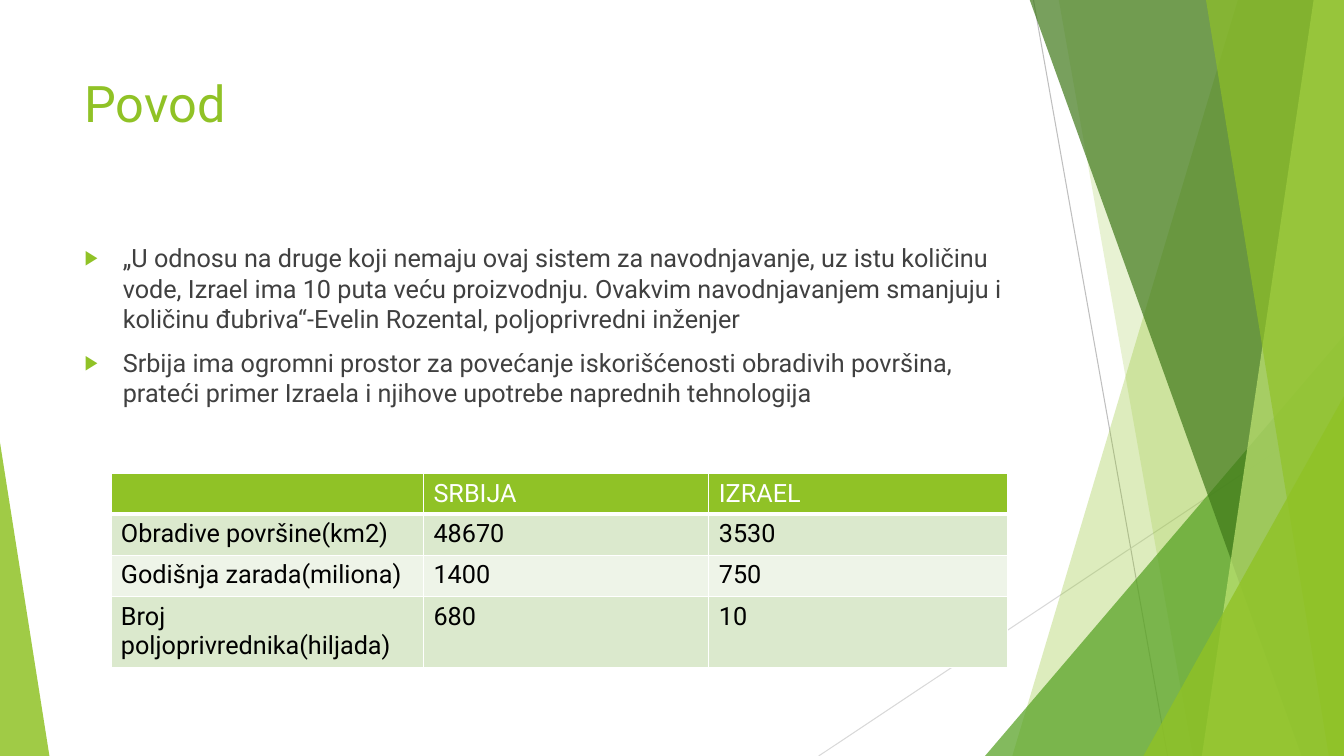
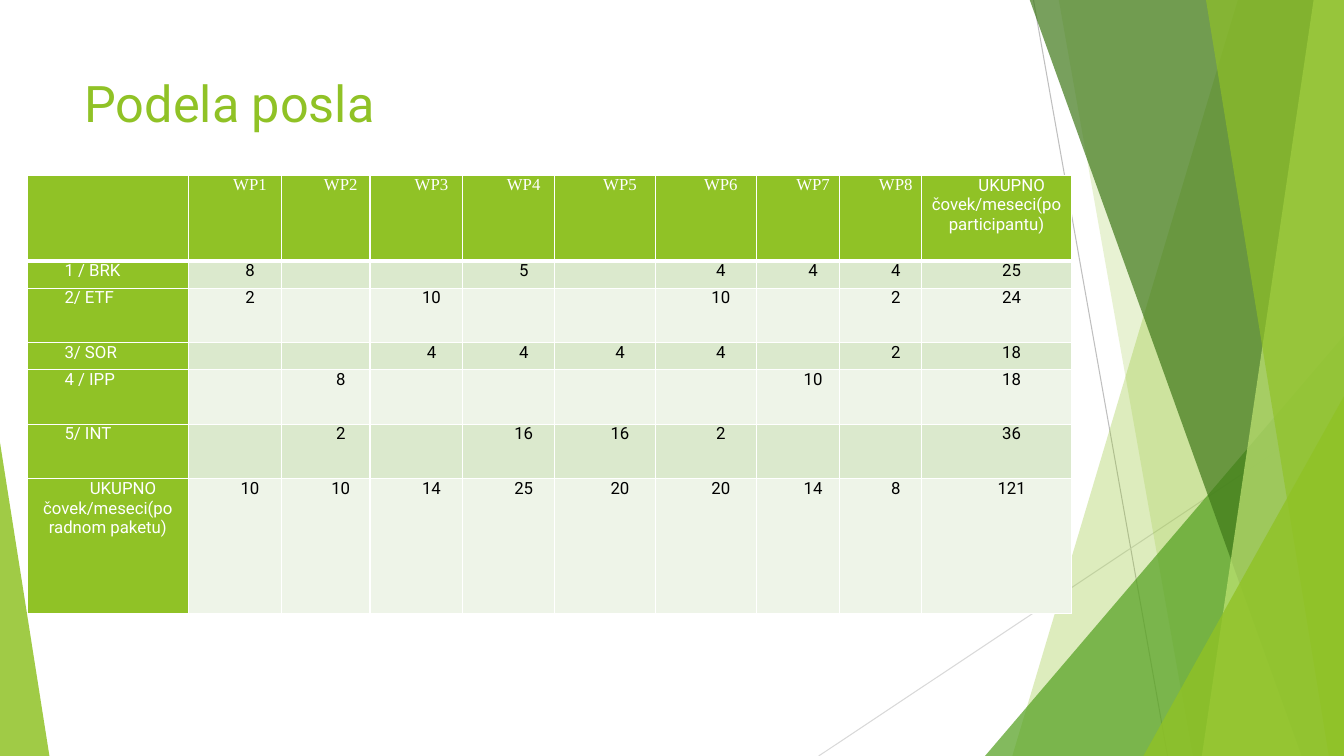
from lxml import etree
from pptx import Presentation
from pptx.dml.color import RGBColor
from pptx.enum.shapes import MSO_CONNECTOR, MSO_SHAPE
from pptx.enum.text import PP_ALIGN
from pptx.oxml.ns import qn
from pptx.util import Inches, Pt

STRAIGHT, TRIANGLE = MSO_CONNECTOR.STRAIGHT, MSO_SHAPE.ISOSCELES_TRIANGLE
LEFT, CENTER, JUSTIFY = PP_ALIGN.LEFT, PP_ALIGN.CENTER, PP_ALIGN.JUSTIFY

LIME = RGBColor(0x90, 0xC2, 0x26)
LEAF = RGBColor(0x54, 0xA0, 0x21)
FOREST = RGBColor(0x3F, 0x78, 0x19)
PALE_LIME = RGBColor(0xC0, 0xE4, 0x74)
BAND_DARK = RGBColor(0xDB, 0xE9, 0xCD)
BAND_LIGHT = RGBColor(0xEE, 0xF4, 0xE8)
TEXT_GREY = RGBColor(0x40, 0x40, 0x40)
LINE_GREY = RGBColor(0xBF, 0xBF, 0xBF)
LINE_PALE = RGBColor(0xD9, 0xD9, 0xD9)
WHITE = RGBColor(0xFF, 0xFF, 0xFF)
BLACK = RGBColor(0, 0, 0)

SANS, SERIF = "Roboto", "Times New Roman"
W, H, TOP = 13.33, 7.5, -0.01
TEXT_X, TEXT_W = 0.74, 9.4

# Backdrop, back to front
LINES = [((10.25, 0), (11.58, H), LINE_GREY), ((W, 4.03), (8.12, H), LINE_PALE)]
# ("blade", top x, bottom x, colour, opacity %), reaching to the right edge
# ("corner", left, top, width, apex share, colour, opacity %), down to the bottom edge
BACKDROP = [
    ("blade", 12.28, 10.04, LIME, 30),
    ("blade", 10.5, 11.83, LIME, 20),
    ("corner", 9.77, 3.33, 3.56, 1, LEAF, 72),
    ("blade", 10.21, 12.91, FOREST, 70),
    ("blade", 13.03, 11.92, PALE_LIME, 70),
    ("blade", 11.96, 13.18, LIME, 65),
    ("corner", 11.34, 3.93, 1.99, 1, LIME, 80),
    ("corner", 0, 4.39, 0.49, 0, LIME, 85),
]

# Content
REASONS = [
    "„U odnosu na druge koji nemaju ovaj sistem za navodnjavanje, uz istu količinu vode, "
    "Izrael ima 10 puta veću proizvodnju. Ovakvim navodnjavanjem smanjuju i količinu "
    "đubriva“-Evelin Rozental, poljoprivredni inženjer",
    "Srbija ima ogromni prostor za povećanje iskorišćenosti obradivih površina, prateći "
    "primer Izraela i njihove upotrebe naprednih tehnologija",
]
COUNTRIES = [
    ["", "SRBIJA", "IZRAEL"],
    ["Obradive površine(km2)", "48670", "3530"],
    ["Godišnja zarada(miliona)", "1400", "750"],
    ["Broj poljoprivrednika(hiljada)", "680", "10"],
]
COUNTRY_COLS = [3.1, 2.83, 2.96]
COUNTRY_ROWS = [0.39, 0.41, 0.41, 0.68]

WORK = [
    ["", *(f"WP{n}" for n in range(1, 9)), "UKUPNO čovek/meseci(po participantu)"],
    ["1 / BRK", "8", "", "", "5", "", "4", "4", "4", "25"],
    ["2/ ЕTF", "2", "", "10", "", "", "10", "", "2", "24"],
    ["3/ SOR", "", "", "4", "4", "4", "4", "", "2", "18"],
    ["4 / IPP", "", "8", "", "", "", "", "10", "", "18"],
    ["5/ INT", "", "2", "", "16", "16", "2", "", "", "36"],
    ["UKUPNO čovek/meseci(po radnom paketu)",
     "10", "10", "14", "25", "20", "20", "14", "8", "121"],
]
WORK_COLS = [1.6, 0.92, 0.88, 0.92, 0.91, 1, 1, 0.83, 0.81, 1.49]
WORK_ROWS = [0.85, 0.27, 0.54, 0.27, 0.54, 0.54, 1.34]


def add_run(p, text, size, color, font=SANS):
    r = p.add_run()
    r.text = text
    r.font.size, r.font.name, r.font.bold = Pt(size), font, False
    r.font.color.rgb = color


def set_indent(p, left, first):
    pPr = p._p.get_or_add_pPr()
    pPr.set("marL", str(Inches(left)))
    pPr.set("indent", str(Inches(first)))
    return pPr


def add_textbox(s, y, h):
    tf = s.shapes.add_textbox(*map(Inches, (TEXT_X, y, TEXT_W, h))).text_frame
    tf.word_wrap = True
    return tf


def paint(sp, color, opacity):
    sp.shadow.inherit = False
    sp.line.fill.background()
    sp.fill.solid()
    sp.fill.fore_color.rgb = color
    clr = sp.element.spPr.find(qn("a:solidFill"))[0]
    etree.SubElement(clr, qn("a:alpha"), val=str(opacity * 1000))


def add_backdrop(s):
    for start, end, color in LINES:
        line = s.shapes.add_connector(STRAIGHT, *map(Inches, start + end))
        line.line.color.rgb = color
        line.line.width = Pt(0.75)
        etree.SubElement(line.element.spPr, qn("a:effectLst"))
    for kind, *place, color, opacity in BACKDROP:
        if kind == "blade":
            top_x, bottom_x = place
            fb = s.shapes.build_freeform(Inches(top_x), Inches(TOP))
            fb.add_line_segments([(Inches(x), Inches(y)) for x, y in
                                  ((W, TOP), (W, H), (bottom_x, H))])
            sp = fb.convert_to_shape()
        else:
            x, y, w, apex = place
            sp = s.shapes.add_shape(TRIANGLE, *map(Inches, (x, y, w, H - y)))
            sp.adjustments[0] = apex
        paint(sp, color, opacity)


def add_slide(prs, title):
    s = prs.slides.add_slide(prs.slide_layouts[6])
    add_backdrop(s)
    add_run(add_textbox(s, 0.67, 1.44).paragraphs[0], title, 36, LIME)
    return s


def add_bullets(s, items):
    tf = add_textbox(s, 2.36, 2.2)
    for i, item in enumerate(items):
        p = tf.add_paragraph() if i else tf.paragraphs[0]
        p.space_before = Pt(10)
        pPr = set_indent(p, 0.38, -0.38)
        bullet_color = etree.SubElement(pPr, qn("a:buClr"))
        etree.SubElement(bullet_color, qn("a:srgbClr"), val=str(LIME))
        etree.SubElement(pPr, qn("a:buSzPct"), val="80000")
        etree.SubElement(pPr, qn("a:buFont"), typeface="Arial")
        etree.SubElement(pPr, qn("a:buChar"), char="▶")
        add_run(p, item, 18, TEXT_GREY)


def set_borders(cell, row):
    tcPr = cell._tc.get_or_add_tcPr()
    widths = {"L": 1, "R": 1, "T": 3 if row == 1 else 1, "B": 3 if row == 0 else 1}
    for side, width in widths.items():
        ln = etree.SubElement(tcPr, qn(f"a:ln{side}"), w=str(Pt(width)))
        fill = etree.SubElement(ln, qn("a:solidFill"))
        etree.SubElement(fill, qn("a:srgbClr"), val=str(WHITE))


def add_table(s, x, y, cols, rows, data, size, compact=False):
    """A compact table has tight, centred cells and a green first column."""
    table = s.shapes.add_table(len(rows), len(cols), *map(
        Inches, (x, y, sum(cols), sum(rows)))).table
    for column, width in zip(table.columns, cols):
        column.width = Inches(width)
    for i, (values, height) in enumerate(zip(data, rows)):
        table.rows[i].height = Inches(height)
        for j, text in enumerate(values):
            cell = table.cell(i, j)
            heading = i == 0 or (compact and j == 0)
            set_borders(cell, i)
            cell.fill.solid()
            cell.fill.fore_color.rgb = (
                LIME if heading else BAND_DARK if i % 2 else BAND_LIGHT)
            p = cell.text_frame.paragraphs[0]
            p.alignment = LEFT
            if compact:
                cell.margin_left = cell.margin_right = Inches(0.07)
                cell.margin_top = cell.margin_bottom = 0
                participant = j == 0 and 0 < i < len(rows) - 1
                p.alignment = JUSTIFY if participant else CENTER
                p.space_after = Pt(6)
                set_indent(p, 0, 0.3)
            if text:
                font = SERIF if text.startswith("WP") else SANS
                add_run(p, text, size, WHITE if heading else BLACK, font)
            else:
                etree.SubElement(p._p, qn("a:endParaRPr"), sz=str(size * 100))


def main():
    prs = Presentation()
    prs.slide_width, prs.slide_height = Inches(W), Inches(H)

    # Reasons and country comparison
    s = add_slide(prs, "Povod")
    add_bullets(s, REASONS)
    add_table(s, 1.1, 4.7, COUNTRY_COLS, COUNTRY_ROWS, COUNTRIES, 18)

    # Person-months per participant and work package
    s = add_slide(prs, "Podela posla")
    add_table(s, 0.27, 1.74, WORK_COLS, WORK_ROWS, WORK, 12, compact=True)

    prs.save("out.pptx")


if __name__ == "__main__":
    main()
